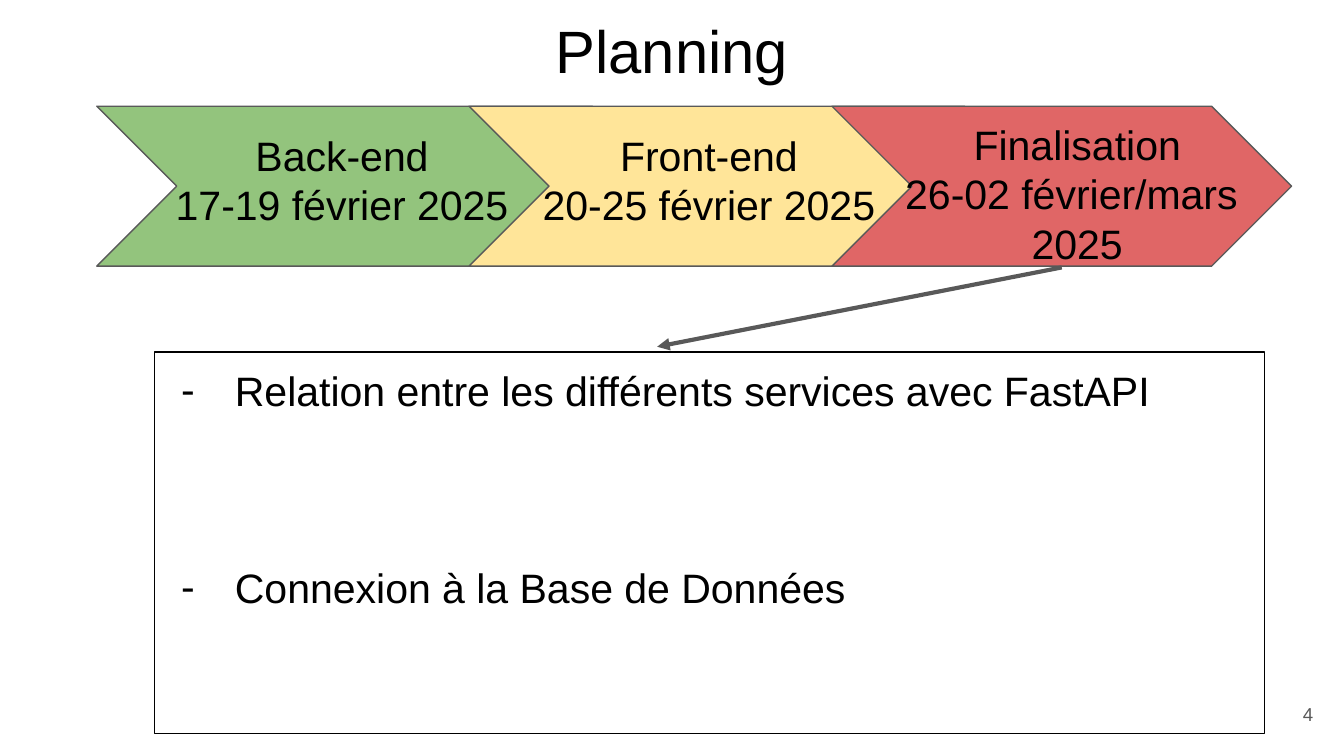
from lxml.etree import SubElement
from pptx import Presentation
from pptx.dml.color import RGBColor
from pptx.enum.shapes import MSO_CONNECTOR, MSO_SHAPE
from pptx.enum.text import MSO_ANCHOR, PP_ALIGN
from pptx.oxml.ns import qn
from pptx.util import Inches, Pt

BLACK = RGBColor(0x00, 0x00, 0x00)
GREY = RGBColor(0x59, 0x59, 0x59)
GREEN = RGBColor(0x93, 0xC4, 0x7D)
YELLOW = RGBColor(0xFF, 0xE5, 0x99)
RED = RGBColor(0xE0, 0x66, 0x66)

FONT = "Arial"
BODY_SIZE = 22
SLIDE_WIDTH = 10
SLIDE_HEIGHT = SLIDE_WIDTH * 9 / 16
BAND_TOP, BAND_HEIGHT = 0.79, 1.19
LABEL_WIDTH = 5.65

# Chevron left and width, colour, label left, top and height, label lines
PHASES = [
    (0.72, 4.28, GREEN, -0.28, 0.87, 1.25, ["Back-end", "17-19 février 2025"]),
    (3.49, 4.28, YELLOW, 2.45, 0.87, 1.25, ["Front-end", "20-25 février 2025"]),
    (6.19, 3.42, RED, 5.19, 0.79, 1.62,
     ["Finalisation", "26-02 février/mars ", "2025"]),
]
TASKS = ["Relation entre les différents services avec FastAPI",
         "Connexion à la Base de Données"]


def inches(*lengths):
    return [Inches(length) for length in lengths]


def write(shape, lines, size=BODY_SIZE, color=BLACK, align=PP_ALIGN.CENTER,
          anchor=MSO_ANCHOR.TOP):
    """Fill a shape with one paragraph per line and return the paragraphs."""
    frame = shape.text_frame
    frame.word_wrap = True
    frame.vertical_anchor = anchor
    frame.margin_left = frame.margin_right = Inches(0.1)
    frame.margin_top = frame.margin_bottom = Inches(0.1)
    frame.text = "\n".join(lines)
    for para in frame.paragraphs:
        para.alignment = align
        para.line_spacing = 1.0
        para.font.name = FONT
        para.font.size = Pt(size)
        para.font.color.rgb = color
    return frame.paragraphs


def add_title(page, text):
    title = page.shapes.title
    title.left, title.top, title.width, title.height = inches(0.34, 0, 9.32, 0.87)
    write(title, [text], size=32)


def add_outlined(page, kind, box, line_color):
    shape = page.shapes.add_shape(kind, *inches(*box))
    shape.shadow.inherit = False
    shape.fill.background()
    shape.line.color.rgb = line_color
    shape.line.width = Pt(0.75)
    return shape


def add_chevron(page, left, width, color):
    chevron = add_outlined(page, MSO_SHAPE.CHEVRON,
                           (left, BAND_TOP, width, BAND_HEIGHT), GREY)
    chevron.adjustments[0] = 0.5
    chevron.fill.solid()
    chevron.fill.fore_color.rgb = color


def add_text(page, box, lines, **style):
    write(page.shapes.add_textbox(*inches(*box)), lines, **style)


def add_arrow(page, start, end):
    arrow = page.shapes.add_connector(MSO_CONNECTOR.STRAIGHT,
                                      *inches(*start, *end))
    arrow.line.color.rgb = GREY
    arrow.line.width = Pt(2.25)
    SubElement(arrow.line._get_or_add_ln(), qn("a:tailEnd"), type="triangle")
    SubElement(arrow._element.spPr, qn("a:effectLst"))


def add_dash(para):
    """Give a paragraph a hanging dash as its bullet."""
    properties = para._p.get_or_add_pPr()
    properties.set("marL", str(Inches(0.5)))
    properties.set("indent", str(-Inches(0.4)))
    color = SubElement(properties, qn("a:buClr"))
    SubElement(color, qn("a:srgbClr"), val=str(BLACK))
    SubElement(properties, qn("a:buFont"), typeface=FONT)
    SubElement(properties, qn("a:buChar"), char="-")
    # The schema wants the default run properties after the bullet
    properties.append(properties.find(qn("a:defRPr")))


def add_task_box(page, tasks):
    box = add_outlined(page, MSO_SHAPE.RECTANGLE, (1.15, 2.62, 8.26, 2.84), BLACK)
    paras = write(box, tasks, align=PP_ALIGN.LEFT)
    for para in paras[1:]:
        para.space_before = Pt(79)
    for para in paras:
        add_dash(para)


def main():
    deck = Presentation()
    deck.slide_width, deck.slide_height = inches(SLIDE_WIDTH, SLIDE_HEIGHT)
    page = deck.slides.add_slide(deck.slide_layouts[5])

    add_title(page, "Planning")
    for left, width, color, *_ in PHASES:
        add_chevron(page, left, width, color)
    for *_, left, top, height, lines in PHASES:
        add_text(page, (left, top, LABEL_WIDTH, height), lines)
    add_arrow(page, (7.9, 1.99), (4.89, 2.58))
    add_task_box(page, TASKS)
    add_text(page, (9.27, 5.1, 0.6, 0.43), ["4"], size=10, color=GREY,
             align=PP_ALIGN.RIGHT, anchor=MSO_ANCHOR.MIDDLE)
    deck.save("out.pptx")


if __name__ == "__main__":
    main()
